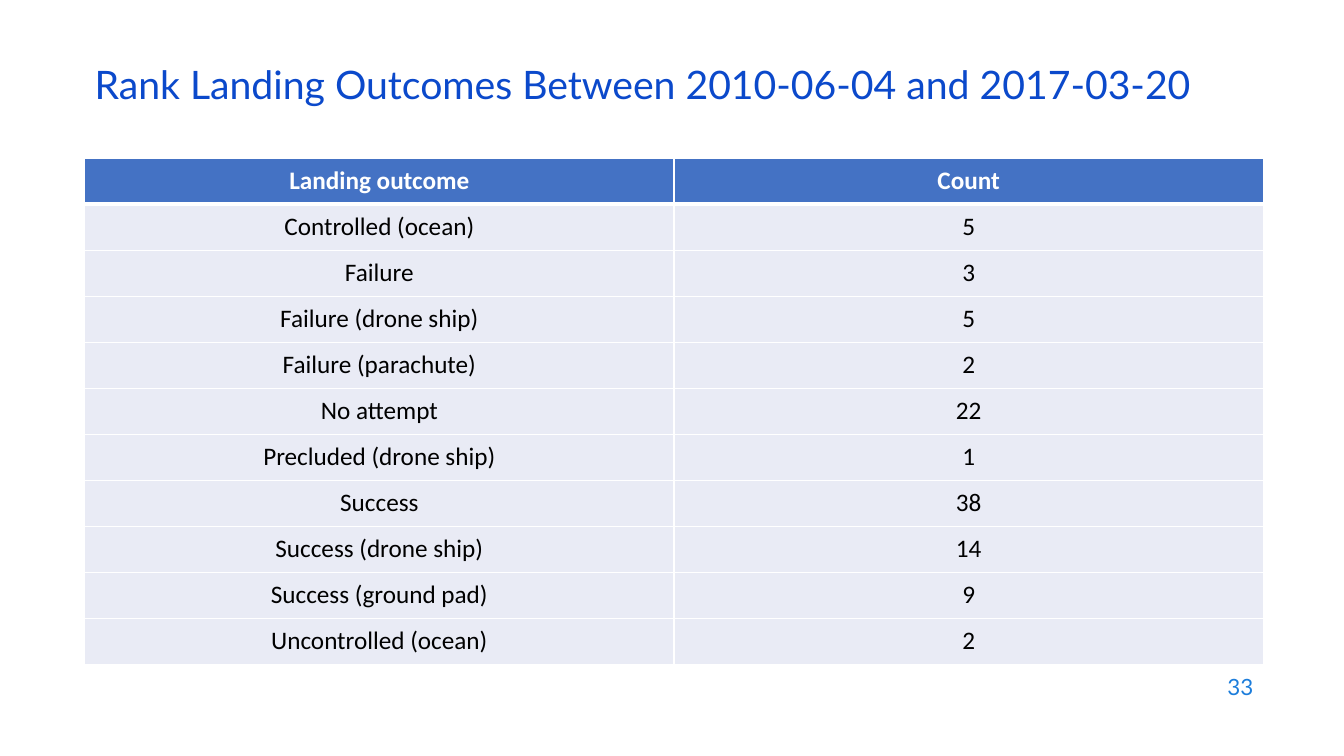
from lxml.etree import SubElement
from pptx import Presentation
from pptx.dml.color import RGBColor
from pptx.enum.text import MSO_ANCHOR, PP_ALIGN
from pptx.oxml.ns import qn
from pptx.util import Inches, Pt

WHITE = RGBColor(0xFF, 0xFF, 0xFF)
BLACK = RGBColor(0x00, 0x00, 0x00)
TITLE_BLUE = RGBColor(0x0B, 0x49, 0xCB)
NUMBER_BLUE = RGBColor(0x1C, 0x7D, 0xDB)
HEADER_BLUE = RGBColor(0x44, 0x72, 0xC4)
ROW_TINT = RGBColor(0xE9, 0xEB, 0xF5)

OUTCOMES = [
    ("Landing outcome", "Count"),
    ("Controlled (ocean)", 5),
    ("Failure", 3),
    ("Failure (drone ship)", 5),
    ("Failure (parachute)", 2),
    ("No attempt", 22),
    ("Precluded (drone ship)", 1),
    ("Success", 38),
    ("Success (drone ship)", 14),
    ("Success (ground pad)", 9),
    ("Uncontrolled (ocean)", 2),
]


class PageBuilder:
    """Holds the style and the current slide."""

    text_font = "Lato"
    table_font = "Calibri"

    def __init__(self, page):
        self.page = page

    def style(self, para, font_name, size, color, align, bold=False):
        para.alignment = align
        font = para.font
        font.name, font.size, font.bold = font_name, Pt(size), bold
        font.color.rgb = color

    def text(self, words, left, top, width, height, size, color,
             align=PP_ALIGN.LEFT, spacing=1.0):
        box = self.page.shapes.add_textbox(
            Inches(left), Inches(top), Inches(width), Inches(height))
        frame = box.text_frame
        frame.word_wrap = True
        frame.vertical_anchor = MSO_ANCHOR.MIDDLE
        para = frame.paragraphs[0]
        para.text = words
        para.line_spacing = spacing
        self.style(para, self.text_font, size, color, align)

    def borders(self, cell, top, bottom):
        properties = cell._tc.get_or_add_tcPr()
        widths = {"a:lnL": 1, "a:lnR": 1, "a:lnT": top, "a:lnB": bottom}
        for tag, width in widths.items():
            line = SubElement(properties, qn(tag), w=str(Pt(width)))
            fill = SubElement(line, qn("a:solidFill"))
            SubElement(fill, qn("a:srgbClr"), val=str(WHITE))

    def table(self, rows, left, top, width, height):
        table = self.page.shapes.add_table(
            len(rows), len(rows[0]), Inches(left), Inches(top),
            Inches(width), Inches(height)).table
        table.horz_banding = False
        for row_index, values in enumerate(rows):
            header = row_index == 0
            for column_index, value in enumerate(values):
                cell = table.cell(row_index, column_index)
                # A thick rule parts the header from the body
                self.borders(cell, top=3 if row_index == 1 else 1,
                             bottom=3 if header else 1)
                cell.fill.solid()
                cell.fill.fore_color.rgb = HEADER_BLUE if header else ROW_TINT
                cell.vertical_anchor = MSO_ANCHOR.MIDDLE
                para = cell.text_frame.paragraphs[0]
                para.text = str(value)
                self.style(para, self.table_font, 18,
                           WHITE if header else BLACK, PP_ALIGN.CENTER, header)


def main():
    deck = Presentation()
    deck.slide_width, deck.slide_height = Inches(13.33), Inches(7.5)
    builder = PageBuilder(deck.slides.add_slide(deck.slide_layouts[6]))

    # Title
    builder.text("Rank Landing Outcomes Between 2010-06-04 and 2017-03-20",
                 0.84, 0.59, 11.5, 0.6, 28, TITLE_BLUE, spacing=0.7)

    # Landing outcomes
    builder.table(OUTCOMES, 0.84, 1.57, 11.69, 5.02)

    # Page number
    builder.text("33", 9.53, 6.59, 3, 0.44, 16, NUMBER_BLUE, PP_ALIGN.RIGHT)

    deck.save("out.pptx")


if __name__ == "__main__":
    main()
